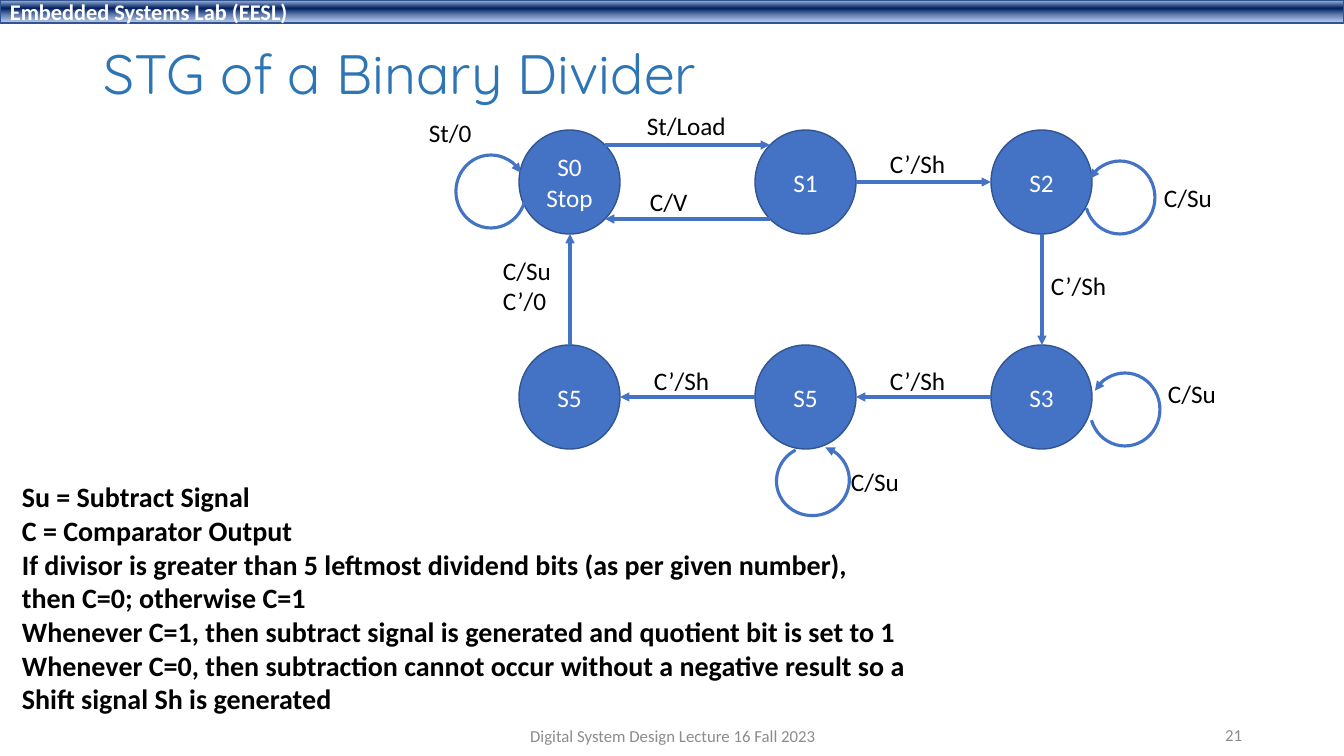
"""Builds the slide with the state transition graph of a binary divider."""
from dataclasses import dataclass
from math import cos, radians, sin

from lxml import etree
from pptx import Presentation
from pptx import util as u
from pptx.dml.color import RGBColor
from pptx.enum import shapes, text
from pptx.oxml import parse_xml
from pptx.oxml.ns import nsdecls, qn

PX = 914400 / 100.8
COLORS = {
    "blue": "4472C4", "outline": "325491", "title": "2E75B6",
    "white": "FFFFFF", "black": "000000", "grey": "8C8C8C",
    "bar_top": "ABC0E4", "bar_middle": "002060", "bar_bottom": "7E9ED6",
}
STATE_W, STATE_H = 101, 104
LEFT, TOP, COLUMN_STEP, ROW_STEP = 519, 130, 236, 215
LOOP_W, LOOP_H = 70, 73
LEFT_ALIGN, CENTER, RIGHT_ALIGN = (
    text.PP_ALIGN.LEFT, text.PP_ALIGN.CENTER, text.PP_ALIGN.RIGHT)


@dataclass
class State:
    label: str
    column: int
    row: int

    @property
    def left(self) -> int:
        return LEFT + self.column * COLUMN_STEP

    @property
    def top(self) -> int:
        return TOP + self.row * ROW_STEP

    def rim(self, angle: int) -> tuple[int, int]:
        """Point on the circle, with the angle clockwise from the right."""
        return (round(self.left + STATE_W / 2 * (1 + cos(radians(angle)))),
                round(self.top + STATE_H / 2 * (1 + sin(radians(angle)))))


@dataclass
class Transition:
    source: State
    source_angle: int
    target: State
    target_angle: int


@dataclass
class Loop:
    left: int
    top: int
    flipped: bool = True
    rotation: float = 0


@dataclass
class Caption:
    words: str
    left: int
    top: int
    width: int
    height: int = 40
    size: int = 18
    color: str = "black"
    bold: bool = False
    align: text.PP_ALIGN = LEFT_ALIGN
    middle: bool = False


STATES = [
    State("S0\nStop", 0, 0), State("S1", 1, 0), State("S2", 2, 0),
    State("S3", 2, 1), State("S5", 1, 1), State("S5", 0, 1),
]
STOP, FIRST, SECOND, THIRD, FOURTH, LAST = STATES
TRANSITIONS = [
    Transition(STOP, -45, FIRST, -135),
    Transition(FIRST, 135, STOP, 45),
    Transition(FIRST, 0, SECOND, 180),
    Transition(SECOND, 90, THIRD, -90),
    Transition(THIRD, 180, FOURTH, 0),
    Transition(FOURTH, 180, LAST, 0),
    Transition(LAST, -90, STOP, 90),
]
LOOPS = [Loop(456, 155, False), Loop(1085, 161), Loop(1090, 373),
         Loop(778, 444, rotation=78.4)]
NOTES = """Su = Subtract Signal
C = Comparator Output
If divisor is greater than 5 leftmost dividend bits (as per given number),
then C=0; otherwise C=1
Whenever C=1, then subtract signal is generated and quotient bit is set to 1
Whenever C=0, then subtraction cannot occur without a negative result so a
Shift signal Sh is generated"""
CAPTIONS = [
    Caption("St/Load", 637, 105, 100),
    Caption("C/V", 640, 181, 58),
    Caption("C’/Sh", 880, 143, 77),
    Caption("C’/Sh", 1041, 265, 77),
    Caption("C’/Sh", 880, 360, 77),
    Caption("C’/Sh", 644, 360, 77),
    Caption("C/Su\nC’/0", 493, 250, 69, 72),
    Caption("St/0", 419, 112, 64),
    Caption("C/Su", 1154, 177, 69),
    Caption("C/Su", 1158, 373, 69),
    Caption("C/Su", 841, 461, 69),
    Caption(NOTES, 12, 475, 911, 248, size=20, bold=True),
    Caption("21", 950, 715, 302, size=12, color="grey",
            align=RIGHT_ALIGN, middle=True),
    Caption("Digital System Design Lecture 16 Fall 2023", 446, 716, 454,
            size=12, color="grey", align=CENTER, middle=True),
]


def px(*lengths: int) -> list[u.Emu]:
    return [u.Emu(round(length * PX)) for length in lengths]


def rgb(name: str) -> RGBColor:
    return RGBColor.from_string(COLORS[name])


def write(frame, words: str, size: float, color: str, align=LEFT_ALIGN,
          bold: bool = False, font: str = "Calibri") -> None:
    frame.text = words
    for paragraph in frame.paragraphs:
        paragraph.alignment = align
        for run in paragraph.runs:
            run.font.name, run.font.size = font, u.Pt(size)
            run.font.bold, run.font.color.rgb = bold, rgb(color)


def stroke(shape, color: str, width: float, arrow: bool = False) -> None:
    shape.line.color.rgb = rgb(color)
    shape.line.width = u.Pt(width)
    if arrow:
        outline = shape._element.spPr.find(qn("a:ln"))
        etree.SubElement(outline, qn("a:tailEnd"), type="triangle")


def draw_bar(slide) -> None:
    bar = slide.shapes.add_shape(shapes.MSO_SHAPE.RECTANGLE, *px(0, 0, 1344, 23))
    bar.shadow.inherit = False
    stroke(bar, "outline", 1)
    stops = "".join(
        f'<a:gs pos="{place * 1000}"><a:srgbClr val="{COLORS[name]}">'
        f'<a:alpha val="{alpha * 1000}"/></a:srgbClr></a:gs>'
        for place, name, alpha in [(2, "bar_top", 100), (38, "bar_middle", 100),
                                   (93, "bar_bottom", 64)])
    bar._element.spPr.find(qn("a:prstGeom")).addnext(parse_xml(
        f'<a:gradFill {nsdecls("a")}><a:gsLst>{stops}</a:gsLst>'
        '<a:lin ang="5400000" scaled="0"/></a:gradFill>'))
    bar.text_frame.vertical_anchor = text.MSO_ANCHOR.MIDDLE
    write(bar.text_frame, "Embedded Systems Lab (EESL)", 16, "white", bold=True)


def draw_title(slide) -> None:
    title = slide.shapes.title
    title.left, title.top, title.width, title.height = px(93, 40, 1159, 73)
    frame = title.text_frame
    frame.auto_size = text.MSO_AUTO_SIZE.NONE
    frame.vertical_anchor = text.MSO_ANCHOR.MIDDLE
    write(frame, "STG of a Binary Divider", 39.6, "title", font="Quicksand")
    frame.paragraphs[0].line_spacing = 0.9


def draw_state(slide, state: State) -> None:
    circle = slide.shapes.add_shape(
        shapes.MSO_SHAPE.OVAL, *px(state.left, state.top, STATE_W, STATE_H))
    circle.shadow.inherit = False
    circle.fill.solid()
    circle.fill.fore_color.rgb = rgb("blue")
    stroke(circle, "outline", 1)
    circle.text_frame.vertical_anchor = text.MSO_ANCHOR.MIDDLE
    write(circle.text_frame, state.label, 18, "white", CENTER)


def draw_transition(slide, move: Transition) -> None:
    arrow = slide.shapes.add_connector(
        shapes.MSO_CONNECTOR.STRAIGHT, *px(*move.source.rim(move.source_angle),
                                           *move.target.rim(move.target_angle)))
    stroke(arrow, "blue", 2.25, arrow=True)
    etree.SubElement(arrow._element.spPr, qn("a:effectLst"))


def draw_loop(slide, loop: Loop) -> None:
    arc = slide.shapes.add_shape(
        shapes.MSO_SHAPE.ARC, *px(loop.left, loop.top, LOOP_W, LOOP_H))
    arc.shadow.inherit = False
    arc.fill.background()
    arc.adjustments[0], arc.adjustments[1] = 10.69, 196.74
    arc.rotation = loop.rotation
    if loop.flipped:
        arc._element.spPr.find(qn("a:xfrm")).set("flipH", "1")
    stroke(arc, "blue", 2.25, arrow=True)


def draw_caption(slide, caption: Caption) -> None:
    frame = slide.shapes.add_textbox(*px(
        caption.left, caption.top, caption.width, caption.height)).text_frame
    frame.word_wrap = caption.middle
    if caption.middle:
        frame.vertical_anchor = text.MSO_ANCHOR.MIDDLE
    else:
        frame.auto_size = text.MSO_AUTO_SIZE.SHAPE_TO_FIT_TEXT
    write(frame, caption.words, caption.size, caption.color, caption.align,
          caption.bold)


def main() -> None:
    deck = Presentation()
    deck.slide_width, deck.slide_height = px(1344, 756)
    slide = deck.slides.add_slide(deck.slide_layouts[5])
    draw_bar(slide)
    draw_title(slide)
    for draw, parts in [(draw_state, STATES), (draw_transition, TRANSITIONS),
                        (draw_loop, LOOPS), (draw_caption, CAPTIONS)]:
        for part in parts:
            draw(slide, part)
    deck.save("out.pptx")


if __name__ == "__main__":
    main()
